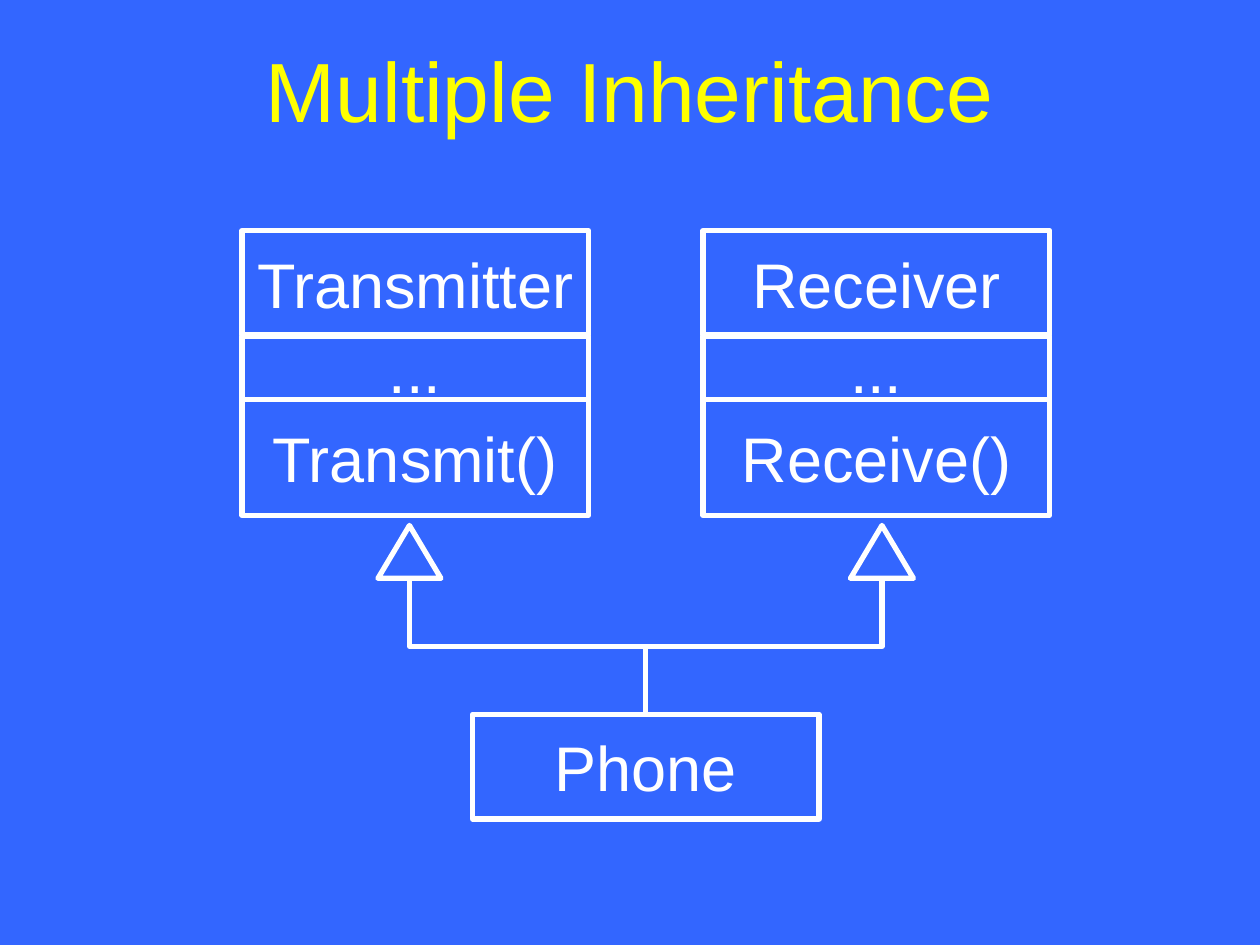
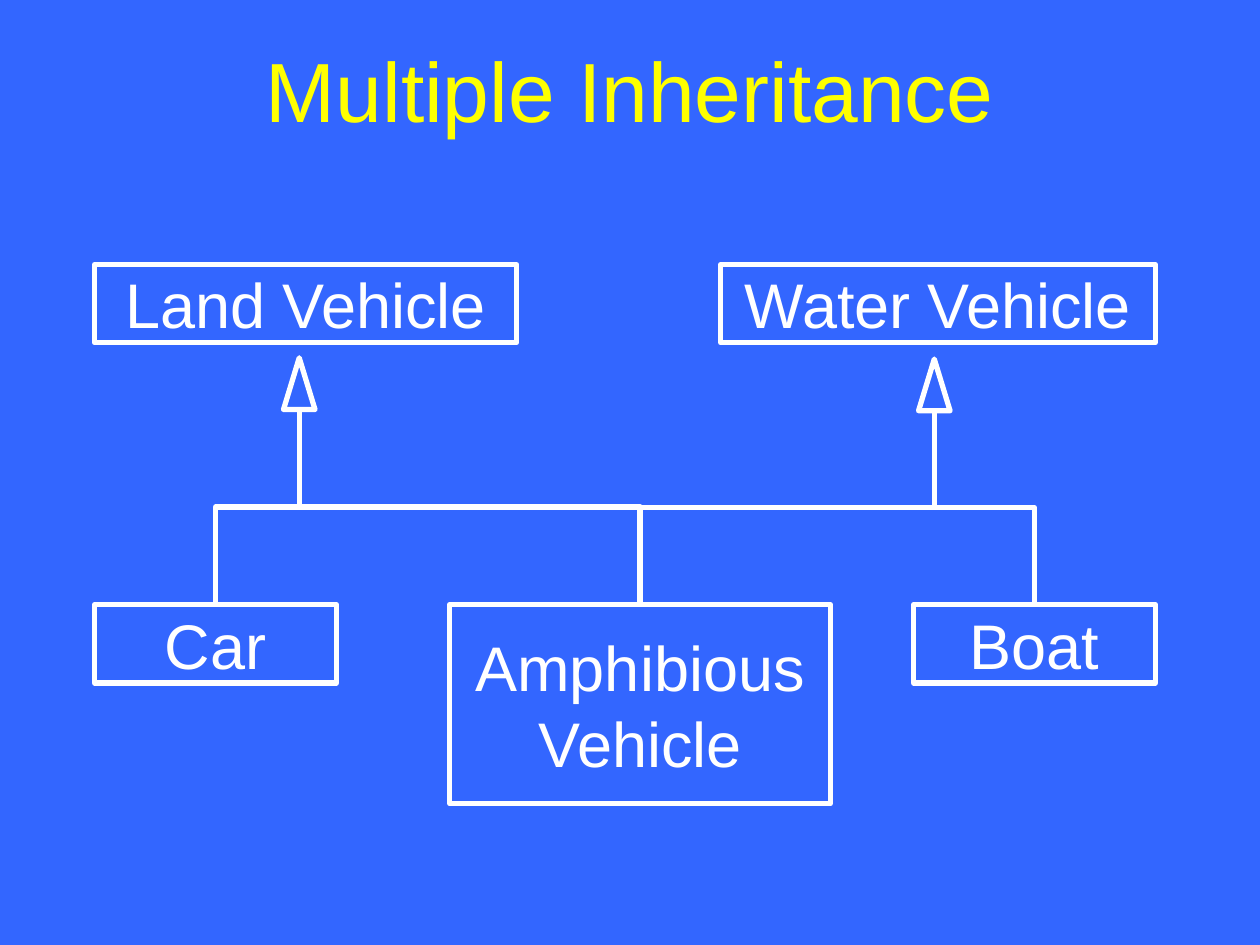
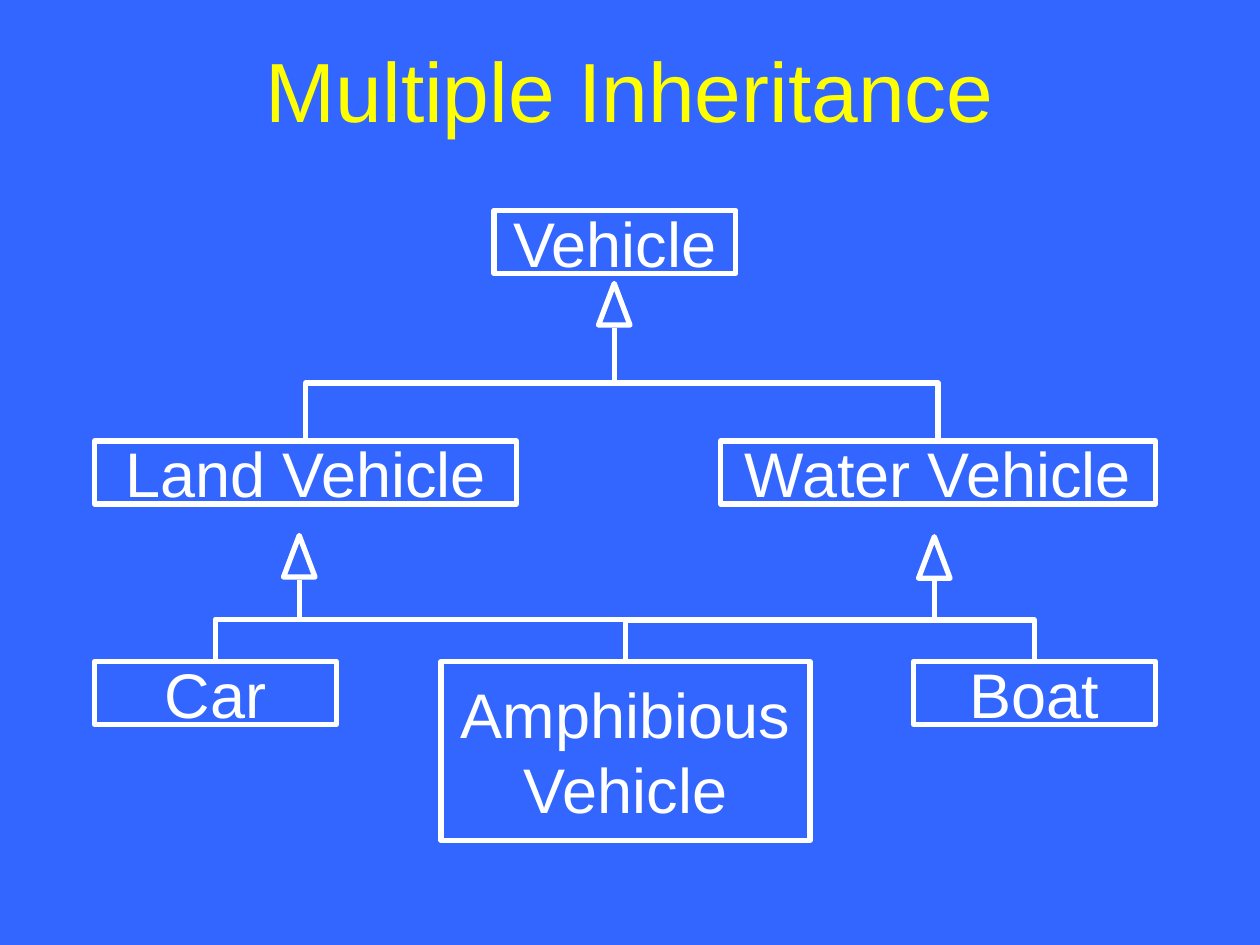
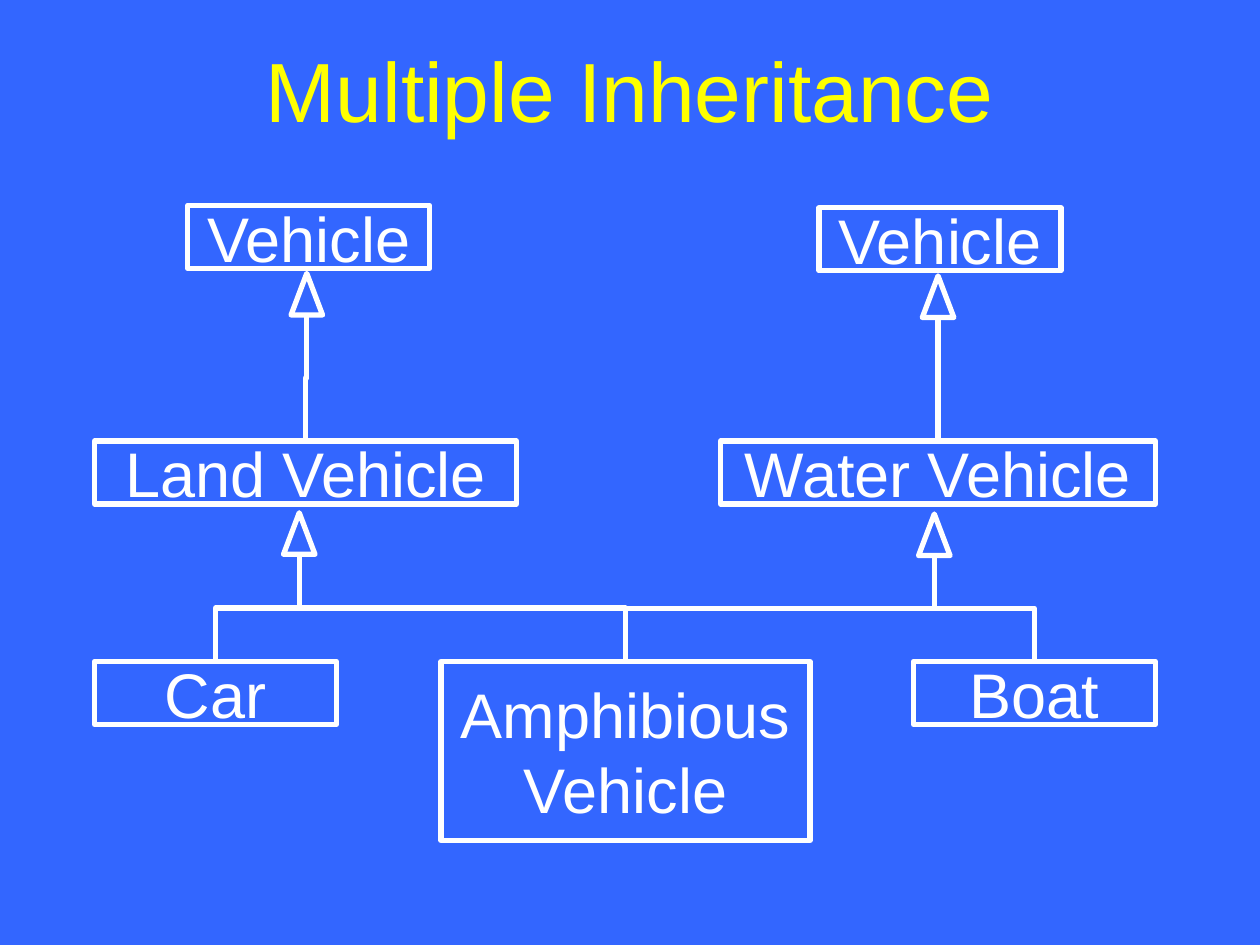
"""Builds four class diagrams about multiple inheritance."""
from lxml import etree
from pptx import Presentation
from pptx.dml.color import RGBColor
from pptx.enum.shapes import MSO_CONNECTOR, MSO_SHAPE
from pptx.enum.text import MSO_ANCHOR, PP_ALIGN
from pptx.oxml.ns import qn
from pptx.util import Inches, Pt

RECTANGLE = MSO_SHAPE.RECTANGLE
TRIANGLE = MSO_SHAPE.ISOSCELES_TRIANGLE
ELBOW = MSO_CONNECTOR.ELBOW
CENTER = PP_ALIGN.CENTER
MIDDLE = MSO_ANCHOR.MIDDLE

COLORS = {"background": "3366FF", "title": "FFFF00", "ink": "FFFFFF"}
FONT = "Arial"
TITLE = "Multiple Inheritance"
TITLE_SIZE, LABEL_SIZE, LINE_WIDTH = 48, 36, 3
SLIDE_WIDTH, SLIDE_HEIGHT = 10, 7.5
TITLE_AREA = (0.5, 0.08, 9, 1.25)
LINK_GAP = 0.02
QUARTER_TURN = 5400000

CLASS_WIDTH, NAME_HEIGHT = 2.75, 0.83
MEMBER_ROWS = [(1.83, NAME_HEIGHT), (2.67, 0.5), (3.17, 0.92)]
SMALL_WIDTH = 1.92
LAND = ("Land Vehicle", 0.75, 3.35)
WATER = ("Water Vehicle", 5.72, 3.45)
CAR = ("Car", 0.75, SMALL_WIDTH)
BOAT = ("Boat", 7.25, SMALL_WIDTH)
WIDE_AMPHIBIOUS = ("Amphibious Vehicle", 3.57, 3.02)
AMPHIBIOUS = ("Amphibious Vehicle", 3.5, 2.93)
LAND_CHILDREN = ["Car", "Amphibious Vehicle"]
WATER_CHILDREN = ["Amphibious Vehicle", "Boat"]
LAND_AXIS, WATER_AXIS = 2.375, 7.415


def class_boxes(left, members):
    return [(member, left, top, CLASS_WIDTH, height)
            for member, (top, height) in zip(members, MEMBER_ROWS)]


def row_boxes(top, height, *columns):
    return [(label, left, top, width, height) for label, left, width in columns]


FAMILY_BOXES = (row_boxes(5.25, 1.42, AMPHIBIOUS)
                + row_boxes(3.5, 0.5, LAND, WATER)
                + row_boxes(5.25, 0.5, CAR, BOAT))

DIAGRAMS = [
    {"boxes": class_boxes(1.92, ["Transmitter", "...", "Transmit()"])
        + class_boxes(5.58, ["Receiver", "...", "Receive()"])
        + [("Phone", 3.75, 5.67, CLASS_WIDTH, NAME_HEIGHT)],
     "triangle": (0.5, 0.42),
     "parents": [(3.25, 4.17, ["Phone"]), (7, 4.17, ["Phone"])]},
    {"boxes": row_boxes(4.8, 1.58, WIDE_AMPHIBIOUS)
        + row_boxes(2.1, 0.62, LAND, WATER)
        + row_boxes(4.8, 0.62, CAR, BOAT),
     "triangle": (0.25, 0.41),
     "parents": [(LAND_AXIS, 2.84, LAND_CHILDREN),
                 (WATER_AXIS, 2.85, WATER_CHILDREN)]},
    {"boxes": FAMILY_BOXES + row_boxes(1.67, 0.5, ("Vehicle", 3.92, SMALL_WIDTH)),
     "triangle": (0.25, 0.33),
     "parents": [(4.875, 2.25, ["Land Vehicle", "Water Vehicle"]),
                 (LAND_AXIS, 4.25, LAND_CHILDREN),
                 (WATER_AXIS, 4.26, WATER_CHILDREN)]},
    {"boxes": FAMILY_BOXES
        + row_boxes(1.63, 0.5, ("Vehicle", 1.49, SMALL_WIDTH))
        + row_boxes(1.65, 0.5, ("Vehicle", 6.5, SMALL_WIDTH)),
     "triangle": (0.25, 0.33),
     "parents": [(2.435, 2.17, ["Land Vehicle"]),
                 (7.445, 2.19, ["Water Vehicle"]),
                 (LAND_AXIS, 4.07, LAND_CHILDREN),
                 (WATER_AXIS, 4.08, WATER_CHILDREN)]},
]


def color(name):
    return RGBColor.from_string(COLORS[name])


def place(shape, area):
    shape.left, shape.top, shape.width, shape.height = map(Inches, area)


def write(shape, text, size, color_name, wraps=True):
    frame = shape.text_frame
    frame.text = text
    frame.word_wrap = wraps
    frame.vertical_anchor = MIDDLE
    paragraph = frame.paragraphs[0]
    paragraph.alignment = CENTER
    font = paragraph.runs[0].font
    font.name, font.size = FONT, Pt(size)
    font.color.rgb = color(color_name)


def draw_line(line):
    line.color.rgb = color("ink")
    line.width = Pt(LINE_WIDTH)


def add_outline(slide, kind, *area):
    shape = slide.shapes.add_shape(kind, *map(Inches, area))
    shape.shadow.inherit = False
    shape.fill.background()
    draw_line(shape.line)
    return shape


def add_link(slide, start_x, start_y, end_x, end_y):
    drop, shift = end_y - start_y, end_x - start_x
    left = (start_x + end_x - drop) / 2
    top = (start_y + end_y - abs(shift)) / 2
    link = slide.shapes.add_connector(
        ELBOW, *map(Inches, (left, top, left + drop, top + abs(shift))))
    frame = link.element.spPr.find(qn("a:xfrm"))
    frame.set("rot", str(QUARTER_TURN * (3 if shift > 0 else 1)))
    if shift > 0:
        frame.set("flipH", "1")
    draw_line(link.line)
    etree.SubElement(link.element.spPr, qn("a:effectLst"))


def add_diagram(slide, diagram):
    tops = {}
    for label, left, top, width, height in diagram["boxes"]:
        box = add_outline(slide, RECTANGLE, left, top, width, height)
        write(box, label, LABEL_SIZE, "ink", wraps=height > 1)
        tops[label] = (left + width / 2, top)
    width, height = diagram["triangle"]
    for axis, top, children in diagram["parents"]:
        add_outline(slide, TRIANGLE, axis - width / 2, top, width, height)
        for child in children:
            child_x, child_y = tops[child]
            add_link(slide, axis, top + height + LINK_GAP,
                     child_x, child_y - LINK_GAP)


def main():
    presentation = Presentation()
    presentation.slide_width = Inches(SLIDE_WIDTH)
    presentation.slide_height = Inches(SLIDE_HEIGHT)
    background = presentation.slide_master.background.fill
    background.solid()
    background.fore_color.rgb = color("background")
    layout = presentation.slide_layouts.get_by_name("Title Only")
    place(layout.placeholders[0], TITLE_AREA)
    for diagram in DIAGRAMS:
        slide = presentation.slides.add_slide(layout)
        write(slide.shapes.title, TITLE, TITLE_SIZE, "title")
        add_diagram(slide, diagram)
    presentation.save("out.pptx")


if __name__ == "__main__":
    main()
